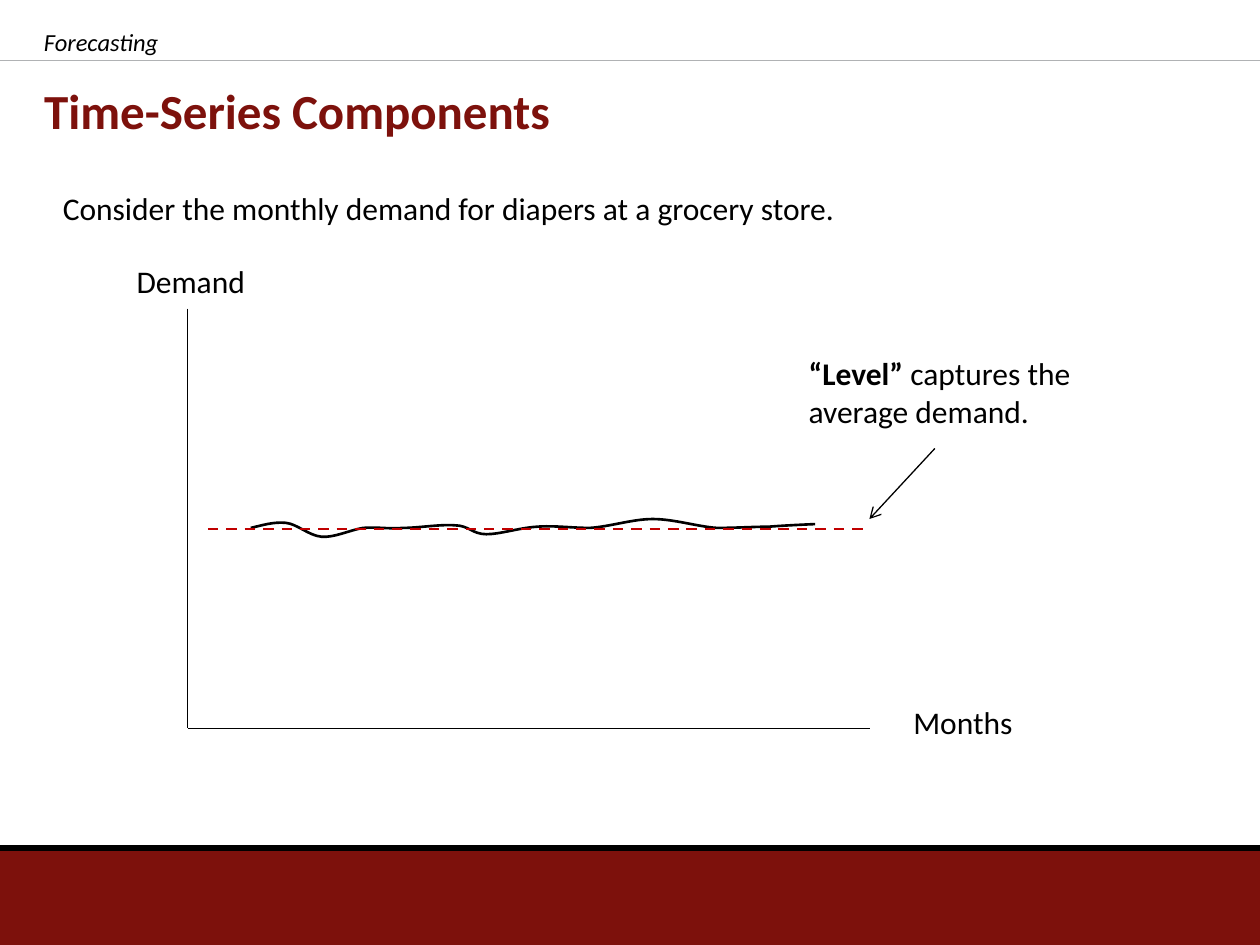
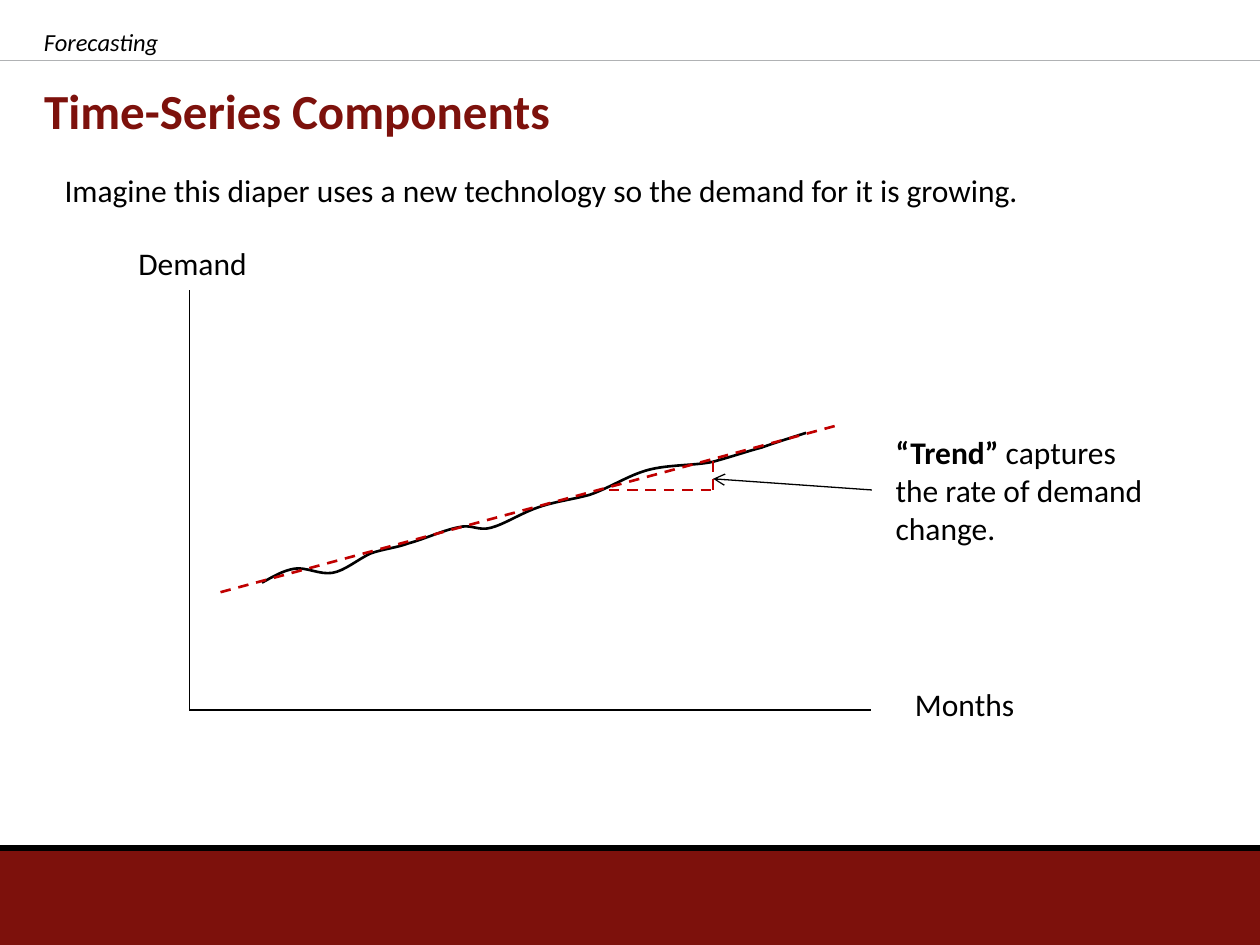
from lxml import etree
from pptx import Presentation
from pptx.dml.color import RGBColor
from pptx.enum.dml import MSO_LINE
from pptx.enum.shapes import MSO_CONNECTOR, MSO_SHAPE
from pptx.enum.text import MSO_ANCHOR, MSO_AUTO_SIZE, PP_ALIGN
from pptx.oxml.ns import qn
from pptx.util import Pt

STRAIGHT = MSO_CONNECTOR.STRAIGHT
RECTANGLE = MSO_SHAPE.RECTANGLE
DASH = MSO_LINE.DASH
MIDDLE = MSO_ANCHOR.MIDDLE
LEFT = PP_ALIGN.LEFT
NO_FIT = MSO_AUTO_SIZE.NONE
GROW = MSO_AUTO_SIZE.SHAPE_TO_FIT_TEXT

FONT = "Calibri"
COLORS = {"maroon": "7D110C", "gray": "B0B2B4", "black": "000000", "red": "C00000"}
RGB = {name: RGBColor.from_string(value) for name, value in COLORS.items()}

DEMAND_CURVE = [
    (143.3, 301.7),
    (149.8, 300.2), (156.2, 298.1), (163.4, 298.8),
    (169.9, 299.5), (176.4, 306), (183.6, 306.7),
    (190.8, 307.4), (199.4, 303.1), (207.4, 301.7),
    (215.3, 301), (221.8, 302.4), (230.4, 301.7),
    (239, 301.7), (252, 299.5), (259.9, 300.2),
    (267.8, 300.2), (270, 305.3), (277.9, 305.3),
    (285.8, 305.3), (296.6, 301.7), (306.7, 301),
    (316.8, 300.2), (326.2, 301.7), (337, 301.7),
    (348.5, 301), (361.4, 296.6), (373, 296.6),
    (385.2, 296.6), (398.9, 301), (409.7, 301.7),
    (421.2, 301.7), (429.8, 301), (439.2, 301),
    (448.6, 300.2), (465.8, 299.5), (465.8, 299.5),
]

SLIDES = [
    {
        "shift": (0, 0),
        "rotation": 0,
        "intro": "Consider the monthly demand for diapers at a grocery store.",
        "intro_width": 463,
        "dashes": [(118.8, 302.4, 496.8, 302.4)],
        "note": [("“Level” ", True), ("captures the average demand.", False)],
        "note_box": (455, 198.7, 203.8, 51),
        "arrow": (534.2, 256.3, 496.8, 296.6),
    },
    {
        "shift": (1, -10.5),
        "rotation": 345,
        "intro": "Imagine this diaper uses a new technology so the demand for it is growing.",
        "intro_width": 567.4,
        "dashes": [
            (126, 338.4, 480.2, 242.6),
            (347.8, 280, 407.5, 280),
            (407.5, 280, 407.5, 263.5),
        ],
        "note": [("“Trend”", True), (" captures the rate of demand change.", False)],
        "note_box": (504.7, 244.1, 161.3, 72.7),
        "arrow": (498.2, 280, 407.5, 273.6),
    },
]


def add_text(s, box, runs, size=18, italic=None, wrap=False, fit=GROW):
    sp = s.shapes.add_textbox(*[Pt(v) for v in box])
    tf = sp.text_frame
    tf.word_wrap = wrap
    tf.auto_size = fit
    p = tf.paragraphs[0]
    p.alignment = LEFT
    for text, bold in runs:
        r = p.add_run()
        r.text = text
        r.font.name = FONT
        r.font.size = Pt(size)
        r.font.bold = bold
        r.font.italic = italic
        r.font.color.rgb = RGB["black"]


def add_line(s, ends, color="black", width=0.75, dash=None, arrow=False):
    line = s.shapes.add_connector(STRAIGHT, *[Pt(v) for v in ends])
    line.line.color.rgb = RGB[color]
    line.line.width = Pt(width)
    if dash:
        line.line.dash_style = dash
    sp_pr = line.element.spPr
    if arrow:
        etree.SubElement(sp_pr.find(qn("a:ln")), qn("a:tailEnd"), type="arrow")
    etree.SubElement(sp_pr, qn("a:effectLst"))
    return line


prs = Presentation()
prs.slide_width = Pt(720)
prs.slide_height = Pt(540)
layout = prs.slide_layouts[5]
slides = [prs.slides.add_slide(layout) for _ in SLIDES]

band = slides[0].shapes.add_shape(RECTANGLE, 0, Pt(486), Pt(720), Pt(54))
band.shadow.inherit = False
band.fill.solid()
band.fill.fore_color.rgb = RGB["maroon"]
band.line.fill.background()
header_rule = add_line(slides[0], (0, 34.7, 720, 34.7), "gray")
footer_rule = add_line(slides[0], (0, 484.6, 720, 484.6), width=3.75)
for sp in (band, header_rule, footer_rule):
    layout.shapes.element.append(sp.element)

for s, content in zip(slides, SLIDES):
    dx, dy = content["shift"]

    title = s.shapes.title
    title.left, title.top, title.width, title.height = Pt(18), Pt(41.8), Pt(661.7), Pt(41.8)
    tf = title.text_frame
    tf.auto_size = NO_FIT
    tf.vertical_anchor = MIDDLE
    p = tf.paragraphs[0]
    p.alignment = LEFT
    r = p.add_run()
    r.text = "Time-Series Components"
    r.font.name = FONT
    r.font.size = Pt(28)
    r.font.bold = True
    r.font.color.rgb = RGB["maroon"]

    add_text(s, (28.8 + dx, 104.4 + dy, content["intro_width"], 29), [(content["intro"], None)])
    add_line(s, (107.3 + dx, 176.4 + dy, 107.3 + dx, 416.2 + dy))
    add_line(s, (107.3 + dx, 416.2 + dy, 497 + dx, 416.2 + dy))
    add_text(s, (514.8 + dx, 398.4 + dy, 72, 29), [("Months", None)])
    add_text(s, (71 + dx, 146.4 + dy, 77, 29), [("Demand", None)])

    points = [(Pt(x + dx), Pt(y + dy)) for x, y in DEMAND_CURVE]
    builder = s.shapes.build_freeform(*points[0])
    builder.add_line_segments(points[1:], close=False)
    curve = builder.convert_to_shape()
    curve.rotation = content["rotation"]
    curve.shadow.inherit = False
    curve.fill.background()
    curve.line.color.rgb = RGB["black"]
    curve.line.width = Pt(1.5)
    outline = next(curve.element.iter(qn("a:path")))
    segments = outline.findall(qn("a:lnTo"))
    for i in range(0, len(segments), 3):
        bezier = etree.SubElement(outline, qn("a:cubicBezTo"))
        for segment in segments[i:i + 3]:
            bezier.append(segment[0])
            outline.remove(segment)

    for ends in content["dashes"]:
        add_line(s, ends, "red", 1.5, DASH)
    add_text(s, content["note_box"], content["note"], wrap=True)
    add_line(s, content["arrow"], arrow=True)
    add_text(s, (18, 12.2, 390.2, 23.8), [("Forecasting", None)], 14, True, True, NO_FIT)

prs.save("out.pptx")
